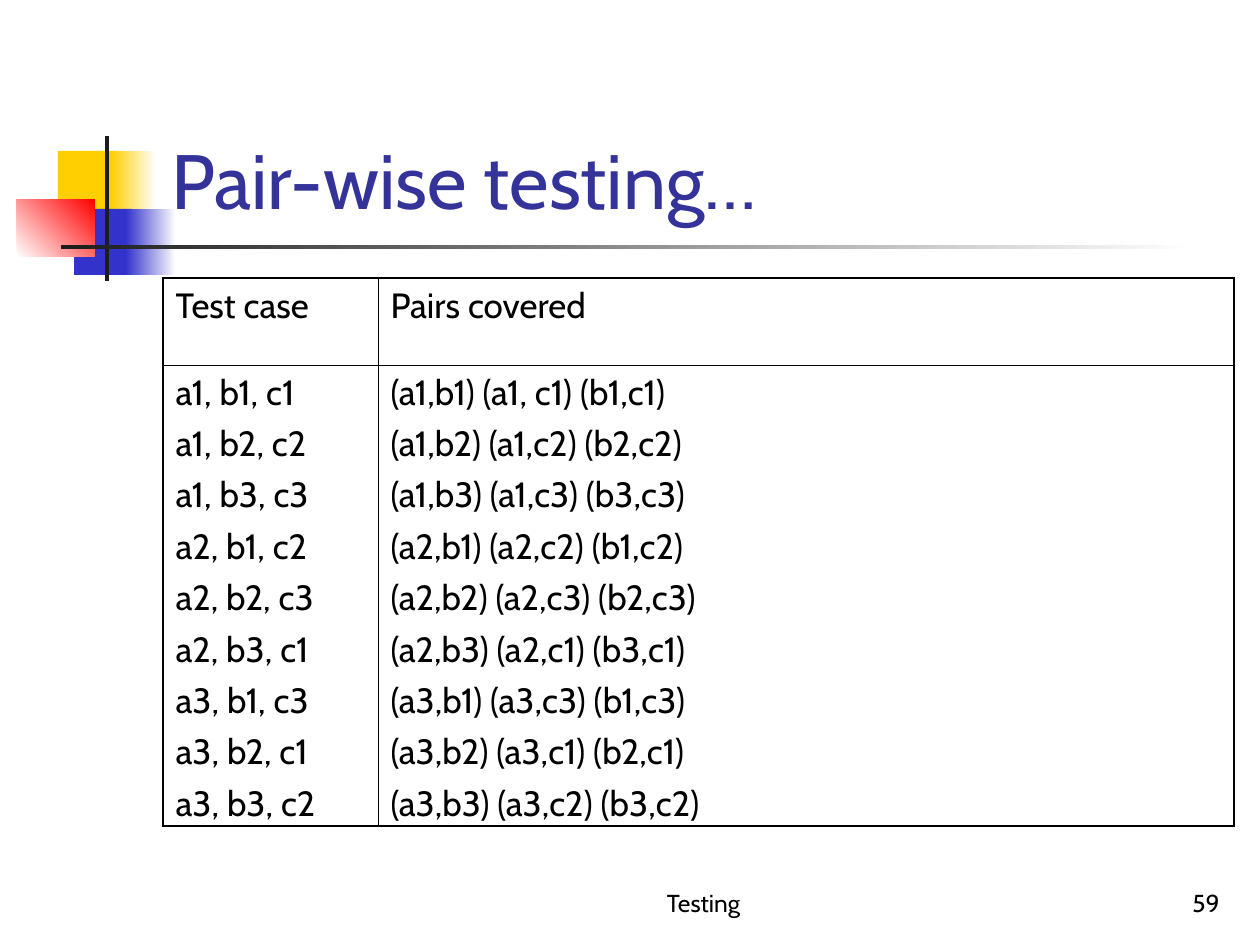
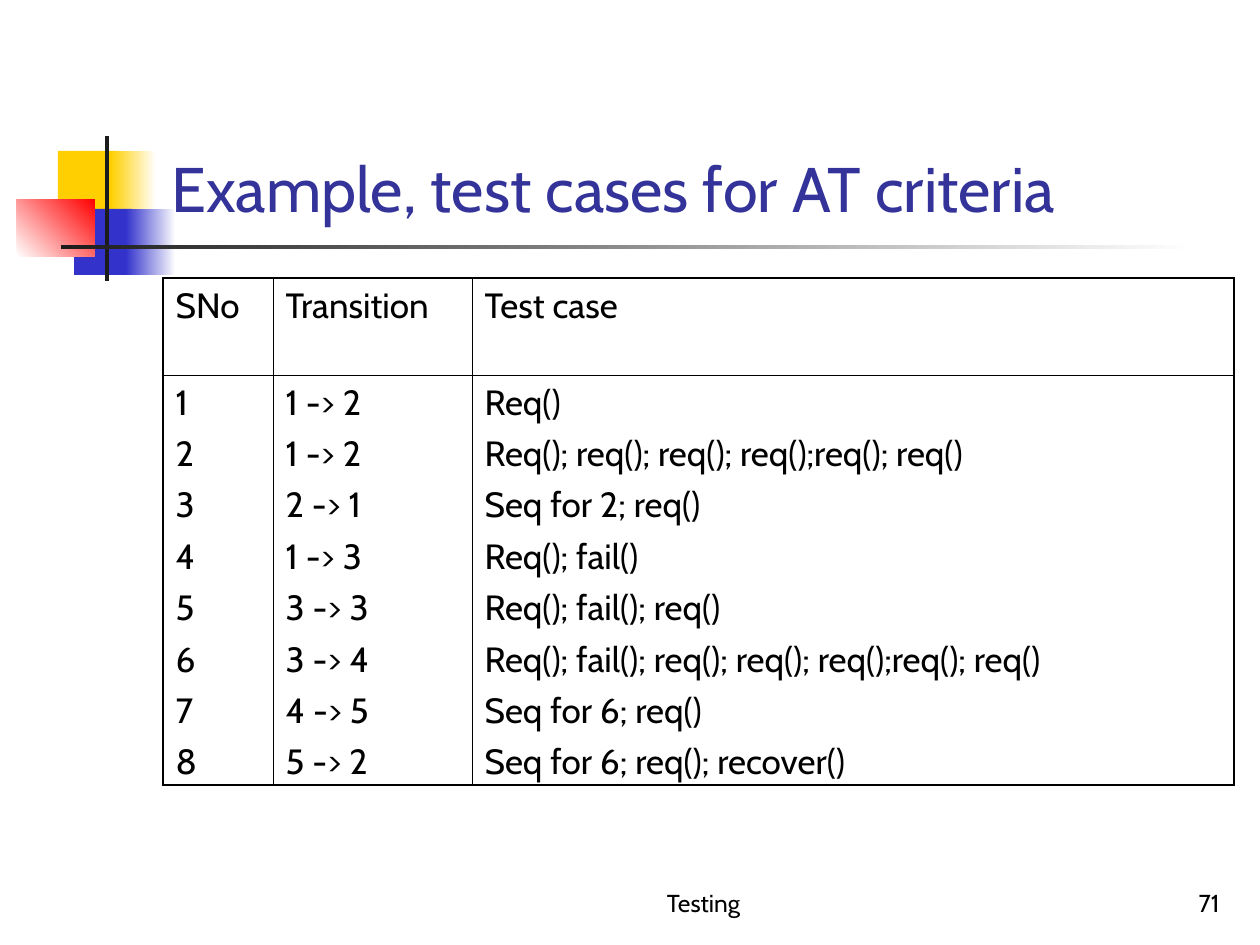
from lxml.etree import SubElement
from pptx import Presentation
from pptx.dml.color import RGBColor
from pptx.enum.shapes import MSO_SHAPE as SHAPE
from pptx.enum.text import MSO_ANCHOR as ANCHOR, PP_ALIGN as ALIGN
from pptx.oxml.ns import qn
from pptx.util import Emu, Pt

# Colours and font
WHITE = RGBColor(0xFF, 0xFF, 0xFF)
BLACK = RGBColor(0x00, 0x00, 0x00)
YELLOW = RGBColor(0xFF, 0xCF, 0x01)
BLUE = RGBColor(0x33, 0x33, 0xCC)
RED = RGBColor(0xFF, 0x00, 0x00)
CHARCOAL = RGBColor(0x1C, 0x1C, 0x1C)
INDIGO = RGBColor(0x33, 0x33, 0x99)
FONT = "Cabin"
OUTER, INNER = 1.08, 0.45  # table rules in points

# Lengths are px at 126 to the inch
SCALE = 914400 / 126


def px(n):
    return Emu(round(n * SCALE))


class Deck:
    def __init__(self):
        self.prs = Presentation()
        self.prs.slide_width, self.prs.slide_height = px(1260), px(945)
        self.s = None

    def slide(self, title, size, number):
        self.s = self.prs.slides.add_slide(self.prs.slide_layouts[6])
        self.ornament()
        self.text((504, 861, 399, 63), "Testing", 14, BLACK, ALIGN.CENTER)
        self.text((970, 861, 262, 63), str(number), 14, BLACK, ALIGN.RIGHT)
        self.text((159, 29, 1074, 202), title, size, INDIGO, ALIGN.LEFT)

    def ornament(self):
        # Coloured blocks, each fading to white
        self.rect((58, 151, 60, 66), YELLOW)
        self.rect((111, 151, 45, 66), YELLOW, WHITE)
        self.rect((74, 209, 58, 66), BLUE)
        self.rect((126, 209, 50, 66), BLUE, WHITE)
        self.rect((17, 199, 78, 58), WHITE, RED, angle=45)
        # Crossing bars
        self.rect((105, 136, 4, 145), CHARCOAL)
        self.rect((61, 245, 1134, 4), CHARCOAL, WHITE)

    def rect(self, box, color, fade_to=None, angle=0):
        sp = self.s.shapes.add_shape(SHAPE.RECTANGLE, *map(px, box))
        sp.shadow.inherit = False
        sp.line.fill.background()
        if fade_to is None:
            sp.fill.solid()
            sp.fill.fore_color.rgb = color
        else:
            sp.fill.gradient()
            sp.fill.gradient_angle = angle
            for stop, rgb in zip(sp.fill.gradient_stops, (color, fade_to)):
                stop.color.rgb = rgb

    def run(self, p, text, size, color):
        r = p.add_run()
        r.text = text
        r.font.name, r.font.size = FONT, Pt(size)
        r.font.color.rgb = color

    def text(self, box, text, size, color, align):
        tf = self.s.shapes.add_textbox(*map(px, box)).text_frame
        tf.word_wrap = True
        tf.vertical_anchor = ANCHOR.BOTTOM
        p = tf.paragraphs[0]
        p.alignment = align
        self.run(p, text, size, color)

    def table(self, columns, widths, heights):
        """Each column is a heading and the list of lines below it."""
        frame = self.s.shapes.add_table(
            2, len(columns), px(163), px(278), px(sum(widths)), px(sum(heights)))
        tbl = frame.table
        tbl.first_row = tbl.horz_banding = False
        for row, height in zip(tbl.rows, heights):
            row.height = px(height)
        last = len(columns) - 1
        for j, (heading, lines) in enumerate(columns):
            tbl.columns[j].width = px(widths[j])
            for i, content in enumerate(([heading], lines)):
                cell = tbl.cell(i, j)
                self.borders(cell, L=j == 0, R=j == last, T=i == 0, B=i == 1)
                cell.fill.background()
                self.lines(cell.text_frame, content)

    def lines(self, tf, content):
        for k, line in enumerate(content):
            p = tf.add_paragraph() if k else tf.paragraphs[0]
            p.space_before = Pt(5)
            self.run(p, line, 20, BLACK)

    def borders(self, cell, **on_edge):
        tc_pr = cell._tc.get_or_add_tcPr()
        for side, outer in on_edge.items():
            width = Pt(OUTER if outer else INNER)
            ln = SubElement(tc_pr, qn(f"a:ln{side}"), w=str(width))
            fill = SubElement(ln, qn("a:solidFill"))
            SubElement(fill, qn("a:srgbClr"), val=str(BLACK))


def main():
    deck = Deck()

    # Pairs covered by each test case
    deck.slide("Pair-wise testing…", 44, 59)
    deck.table([
        ("Test case", [
            "a1, b1, c1", "a1, b2, c2", "a1, b3, c3",
            "a2, b1, c2", "a2, b2, c3", "a2, b3, c1",
            "a3, b1, c3", "a3, b2, c1", "a3, b3, c2"]),
        ("Pairs covered", [
            "(a1,b1) (a1, c1) (b1,c1)",
            "(a1,b2) (a1,c2) (b2,c2)",
            "(a1,b3) (a1,c3) (b3,c3)",
            "(a2,b1) (a2,c2) (b1,c2)",
            "(a2,b2) (a2,c3) (b2,c3)",
            "(a2,b3) (a2,c1) (b3,c1)",
            "(a3,b1) (a3,c3) (b1,c3)",
            "(a3,b2) (a3,c1) (b2,c1)",
            "(a3,b3) (a3,c2) (b3,c2)"]),
    ], widths=(215, 856), heights=(87, 461))

    # Test cases for all transitions
    deck.slide("Example, test cases for AT criteria", 36, 71)
    deck.table([
        ("SNo", [str(n) for n in range(1, 9)]),
        ("Transition", [
            "1 -> 2", "1 -> 2", "2 -> 1", "1 -> 3",
            "3 -> 3", "3 -> 4", "4 -> 5", "5 -> 2"]),
        ("Test case", [
            "Req()",
            "Req(); req(); req(); req();req(); req()",
            "Seq for 2; req()",
            "Req(); fail()",
            "Req(); fail(); req()",
            "Req(); fail(); req(); req(); req();req(); req()",
            "Seq for 6; req()",
            "Seq for 6; req(); recover()"]),
    ], widths=(110, 199, 762), heights=(97, 410))

    deck.prs.save("out.pptx")


if __name__ == "__main__":
    main()
